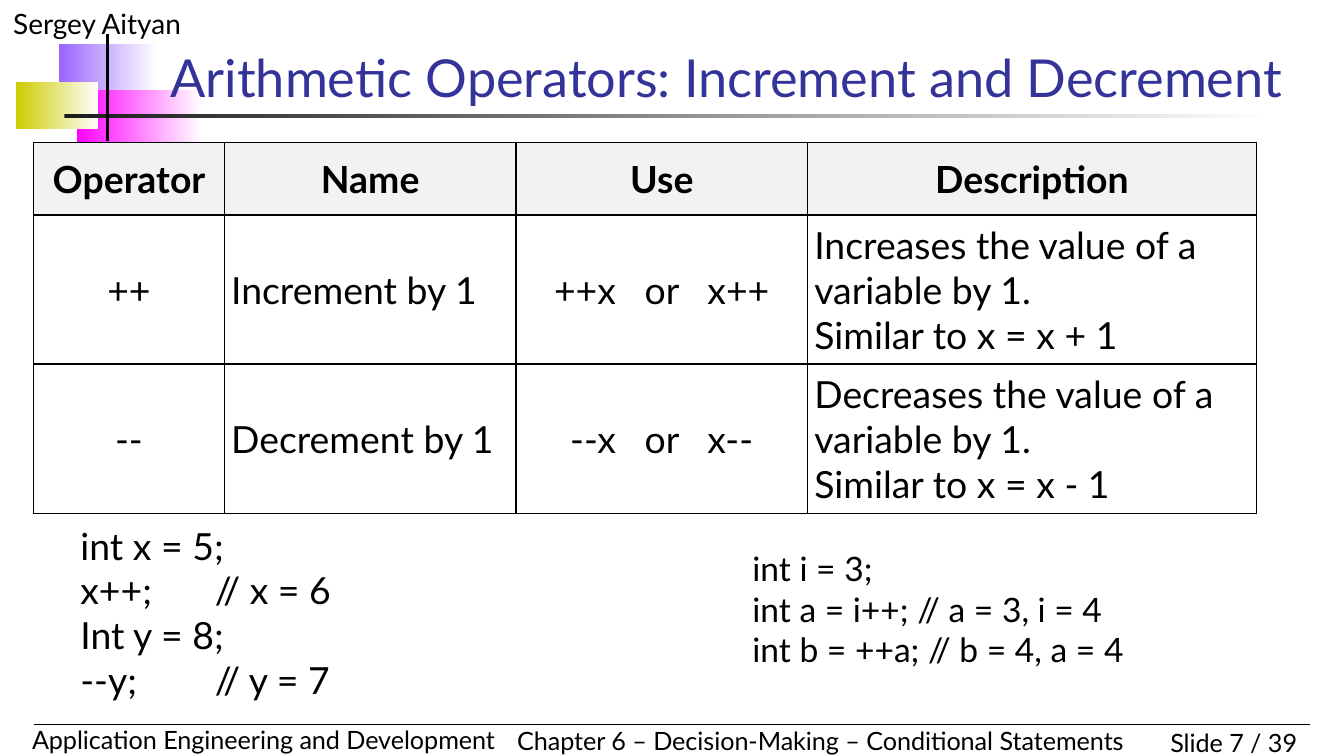
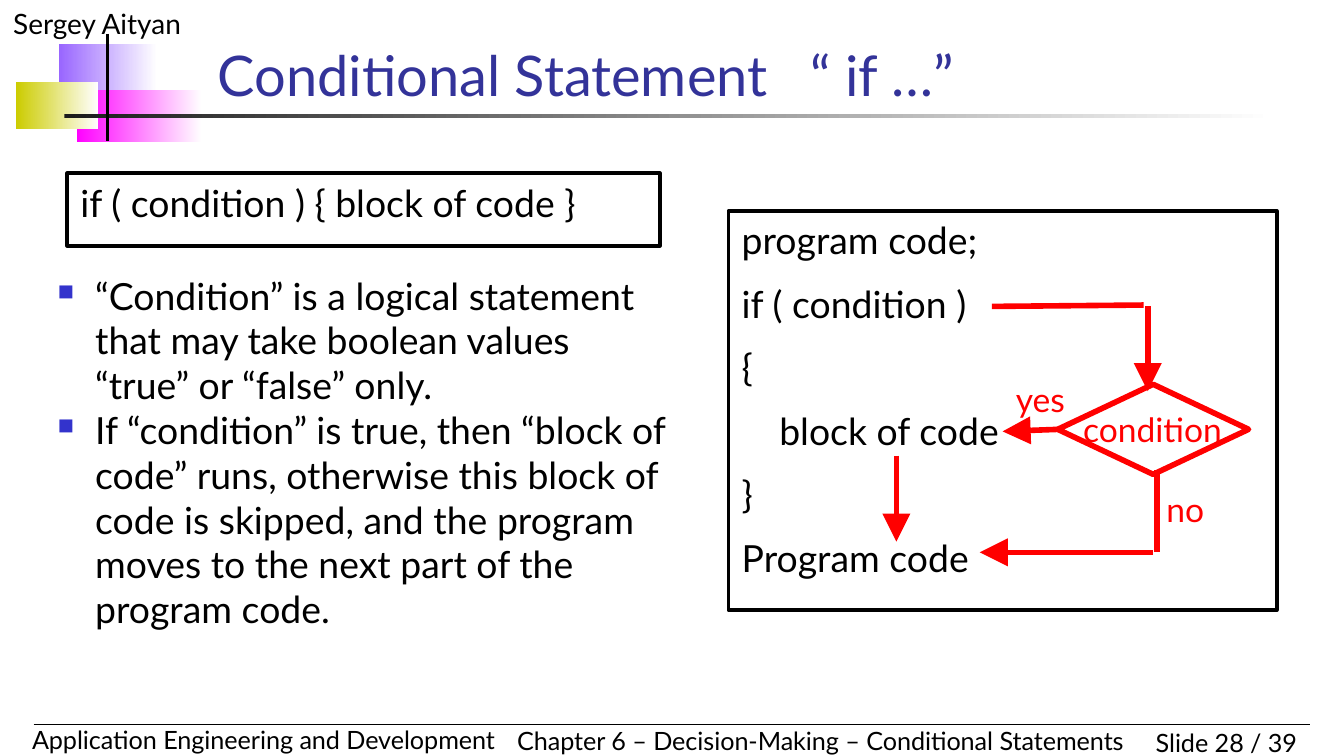
from dataclasses import dataclass

from lxml import etree
from pptx import Presentation
from pptx.dml.color import RGBColor
from pptx.enum.shapes import MSO_CONNECTOR, MSO_SHAPE
from pptx.enum.text import MSO_ANCHOR, PP_ALIGN
from pptx.oxml.ns import qn
from pptx.util import Inches, Pt

RECTANGLE, DIAMOND = MSO_SHAPE.RECTANGLE, MSO_SHAPE.DIAMOND
STRAIGHT = MSO_CONNECTOR.STRAIGHT
LEFT, CENTER, RIGHT = PP_ALIGN.LEFT, PP_ALIGN.CENTER, PP_ALIGN.RIGHT
TOP, MIDDLE, BOTTOM = MSO_ANCHOR.TOP, MSO_ANCHOR.MIDDLE, MSO_ANCHOR.BOTTOM
LEFT_SITE = 1


@dataclass(frozen=True)
class Theme:
    font: str = "Lato"
    text: str = "000000"
    title: str = "333399"
    bullet: str = "3333CC"
    flow: str = "FF0000"
    header: str = "F2F2F2"
    white: str = "FFFFFF"
    body_size: float = 20
    note_size: float = 18
    author_size: float = 15
    footer_size: float = 13.5
    frame_width: float = 2
    flow_width: float = 3
    rule_width: float = 0.75
    border_width: float = 1


THEME = Theme()

SLIDE_WIDTH = Inches(10)
SLIDE_HEIGHT = SLIDE_WIDTH * 9 // 16
AUTHOR = "Sergey Aityan"
COURSE = "Application Engineering and Development"
CHAPTER = "Chapter 6 – Decision-Making – Conditional Statements"
SLIDE_TOTAL = 39
BANDS = [
    ((0.44, 0.33, 0.73, 0.39), "9966FF"),
    ((0.57, 0.67, 0.93, 0.39), "FF00FF"),
    ((0.12, 0.61, 0.61, 0.35), "CCCC00"),
    ((0.48, 0.85, 9, 0.03), "1C1C1C"),
]

OPERATOR_COLUMNS = [
    ("Operator", 1.42, CENTER),
    ("Name", 2.17, LEFT),
    ("Use", 2.17, CENTER),
    ("Description", 3.34, LEFT),
]
OPERATOR_ROWS = [
    ("++", "Increment by 1", "++x   or   x++",
     "Increases the value of a variable by 1.\nSimilar to x = x + 1"),
    ("--", "Decrement by 1", "--x   or   x--",
     "Decreases the value of a variable by 1.\nSimilar to x = x - 1"),
]
HEADER_HEIGHT, ROW_HEIGHT, CELL_MARGIN = 0.54, 1.11, 0.05
STEP_CODE = ["int x = 5;", "x++;\t// x = 6", "Int y = 8;", "--y;\t// y = 7"]
COMMENT_TAB = 1
ASSIGN_CODE = ["int i = 3;", "int a = i++; // a = 3, i = 4",
               "int b = ++a; // b = 4, a = 4"]

SYNTAX = ["if ( condition ) { block of code }"]
RULES = [
    "“Condition” is a logical statement that may take boolean values "
    "“true” or “false” only.",
    "If “condition” is true, then “block of code” runs, otherwise this block "
    "of code is skipped, and the program moves to the next part of the "
    "program code.",
]
INDENT = 0.28
BLOCK_LINE = "block of code"
PROGRAM = ["program code;", "if ( condition )", "{", BLOCK_LINE, "}",
           "Program code"]
FLOW_LABELS = [
    ("condition", (7.96, 2.99, 1.25, 0.4)),
    ("yes", (7.46, 2.77, 0.57, 0.4)),
    ("no", (8.58, 3.59, 0.48, 0.4)),
]
FLOW_LINES = [
    ((6.67, 3.39), (6.67, 4.03), True),
    ((8.58, 4.11), (7.29, 4.11), True),
    ((8.54, 2.28), (8.54, 2.91), True),
    ((8.61, 3.5), (8.61, 4.11), False),
    ((7.38, 2.28), (8.51, 2.27), False),
]


def rgb(value):
    return RGBColor.from_string(value)


def lengths(values):
    return [Inches(value) for value in values]


def add_child(parent, tag, **attributes):
    child = etree.SubElement(parent, qn(tag))
    for name, value in attributes.items():
        child.set(name, str(value))
    return child


def set_font(paragraph, size, color, bold=False):
    font = paragraph.font
    font.name, font.size, font.bold = THEME.font, Pt(size), bold
    font.color.rgb = rgb(color)


def write(frame, lines, size=THEME.body_size, color=THEME.text, align=LEFT,
          bold=False):
    frame.text = "\n".join(lines)
    for paragraph in frame.paragraphs:
        paragraph.alignment = align
        set_font(paragraph, size, color, bold)
    return frame


def add_text(slide, box, lines, wrap=True, anchor=TOP, **style):
    frame = slide.shapes.add_textbox(*lengths(box)).text_frame
    frame.word_wrap = wrap
    frame.vertical_anchor = anchor
    return write(frame, lines, **style)


def add_plain_shape(slide, kind, box):
    shape = slide.shapes.add_shape(kind, *lengths(box))
    shape.shadow.inherit = False
    return shape


def add_outline(slide, kind, box, color, width):
    shape = add_plain_shape(slide, kind, box)
    shape.fill.background()
    shape.line.color.rgb = rgb(color)
    shape.line.width = Pt(width)
    return shape


def add_frame(slide, box, lines):
    shape = add_outline(slide, RECTANGLE, box, THEME.text, THEME.frame_width)
    shape.text_frame.vertical_anchor = TOP
    return write(shape.text_frame, lines)


def add_band(slide, box, color):
    band = add_plain_shape(slide, RECTANGLE, box)
    band.line.fill.background()
    band.fill.gradient()
    band.fill.gradient_angle = 0
    for stop, position, shade in zip(band.fill.gradient_stops, (0, 1),
                                     (color, THEME.white)):
        stop.position = position
        stop.color.rgb = rgb(shade)


def add_line(slide, start, end, color, width, arrow=False):
    line = slide.shapes.add_connector(STRAIGHT, *lengths(start + end))
    line.line.color.rgb = rgb(color)
    line.line.width = Pt(width)
    if arrow:
        add_child(line.line._get_or_add_ln(), "a:tailEnd", type="triangle",
                  w="lg", len="lg")
    add_child(line._element.spPr, "a:effectLst")
    return line


def add_flow_line(slide, start, end, arrow):
    return add_line(slide, start, end, THEME.flow, THEME.flow_width, arrow)


def add_base_slide(presentation, number, title, title_box, title_size):
    slide = presentation.slides.add_slide(presentation.slide_layouts[6])
    for box, color in BANDS:
        add_band(slide, box, color)
    add_text(slide, (0, 0, 2.5, 0.35), [AUTHOR], size=THEME.author_size)
    add_text(slide, (8.25, 5.36, 1.5, 0.33),
             [f"Slide {number} / {SLIDE_TOTAL}"],
             size=THEME.footer_size, align=RIGHT)
    add_text(slide, (0.14, 5.34, 3.7, 0.33), [COURSE], size=THEME.footer_size)
    add_text(slide, (3.75, 5.35, 4.76, 0.33), [CHAPTER], wrap=False,
             size=THEME.footer_size)
    add_line(slide, (0.25, 5.39), (9.75, 5.39), THEME.text, THEME.rule_width)
    add_line(slide, (0.8, 0.25), (0.8, 1.05), THEME.text, THEME.frame_width)
    add_text(slide, title_box, [title], anchor=BOTTOM, size=title_size,
             color=THEME.title)
    return slide


def set_borders(cell):
    properties = cell._tc.get_or_add_tcPr()
    for tag in ("a:lnL", "a:lnR", "a:lnT", "a:lnB"):
        border = add_child(properties, tag, w=Pt(THEME.border_width))
        fill = add_child(border, "a:solidFill")
        add_child(fill, "a:srgbClr", val=THEME.text)


def fill_cell(cell, text, align, is_header):
    set_borders(cell)
    if is_header:
        cell.fill.solid()
        cell.fill.fore_color.rgb = rgb(THEME.header)
    else:
        cell.fill.background()
    cell.vertical_anchor = MIDDLE
    cell.margin_left = cell.margin_right = Inches(CELL_MARGIN)
    cell.margin_top = cell.margin_bottom = Inches(CELL_MARGIN)
    write(cell.text_frame, text.split("\n"), bold=is_header,
          align=CENTER if is_header else align)


def add_operator_table(slide):
    names, widths, alignments = zip(*OPERATOR_COLUMNS)
    rows = [names] + OPERATOR_ROWS
    heights = [HEADER_HEIGHT] + [ROW_HEIGHT] * len(OPERATOR_ROWS)
    box = (0.25, 1.06, sum(widths), sum(heights))
    table = slide.shapes.add_table(len(rows), len(names), *lengths(box)).table
    table.horz_banding = False
    for column, width in zip(table.columns, widths):
        column.width = Inches(width)
    for row_index, (texts, height) in enumerate(zip(rows, heights)):
        table.rows[row_index].height = Inches(height)
        for column_index, text in enumerate(texts):
            fill_cell(table.cell(row_index, column_index), text,
                      alignments[column_index], row_index == 0)


def set_tab(paragraph, position):
    properties = paragraph._p.get_or_add_pPr()
    tabs = etree.Element(qn("a:tabLst"))
    add_child(tabs, "a:tab", pos=Inches(position), algn="l")
    properties.insert(0, tabs)


def set_bullet(paragraph):
    properties = paragraph._p.get_or_add_pPr()
    properties.set("marL", str(Inches(INDENT)))
    properties.set("indent", str(-Inches(INDENT)))
    color = etree.Element(qn("a:buClr"))
    add_child(color, "a:srgbClr", val=THEME.bullet)
    size = etree.Element(qn("a:buSzPct"), val="60000")
    mark = etree.Element(qn("a:buChar"), char="■")
    for index, element in enumerate((color, size, mark)):
        properties.insert(index, element)


def build_operators(presentation):
    slide = add_base_slide(presentation, 7,
                           "Arithmetic Operators: Increment and Decrement",
                           (1.17, 0.31, 8.75, 0.54), 28)
    add_operator_table(slide)
    steps = add_text(slide, (0.5, 3.84, 2.97, 0.83), STEP_CODE)
    for paragraph in steps.paragraphs:
        set_tab(paragraph, COMMENT_TAB)
    add_text(slide, (5.5, 4.03, 5.02, 1.01), ASSIGN_CODE, size=THEME.note_size)


def build_conditional(presentation):
    slide = add_base_slide(presentation, 28, "Conditional Statement   “ if …”",
                           (1.52, 0.31, 7.35, 0.54), 30)
    add_frame(slide, (0.5, 1.29, 4.41, 0.54), SYNTAX)
    rules = add_text(slide, (0.33, 1.98, 4.74, 3.25), RULES)
    for paragraph in rules.paragraphs:
        set_bullet(paragraph)

    program = add_frame(slide, (5.42, 1.57, 4.08, 2.97), PROGRAM)
    for paragraph in program.paragraphs:
        paragraph.space_before = Pt(10)
        if paragraph.text == BLOCK_LINE:
            paragraph._p.get_or_add_pPr().set("marL", str(Inches(INDENT)))

    decision = add_outline(slide, DIAMOND, (7.87, 2.86, 1.42, 0.67),
                           THEME.flow, THEME.flow_width)
    for text, box in FLOW_LABELS:
        add_text(slide, box, [text], wrap=False, size=THEME.note_size,
                 color=THEME.flow)
    for start, end, arrow in FLOW_LINES:
        add_flow_line(slide, start, end, arrow)
    yes_arrow = add_flow_line(slide, (7.87, 3.19), (7.46, 3.21), True)
    yes_arrow.begin_connect(decision, LEFT_SITE)


def main():
    presentation = Presentation()
    presentation.slide_width = SLIDE_WIDTH
    presentation.slide_height = SLIDE_HEIGHT
    build_operators(presentation)
    build_conditional(presentation)
    presentation.save("out.pptx")


if __name__ == "__main__":
    main()
